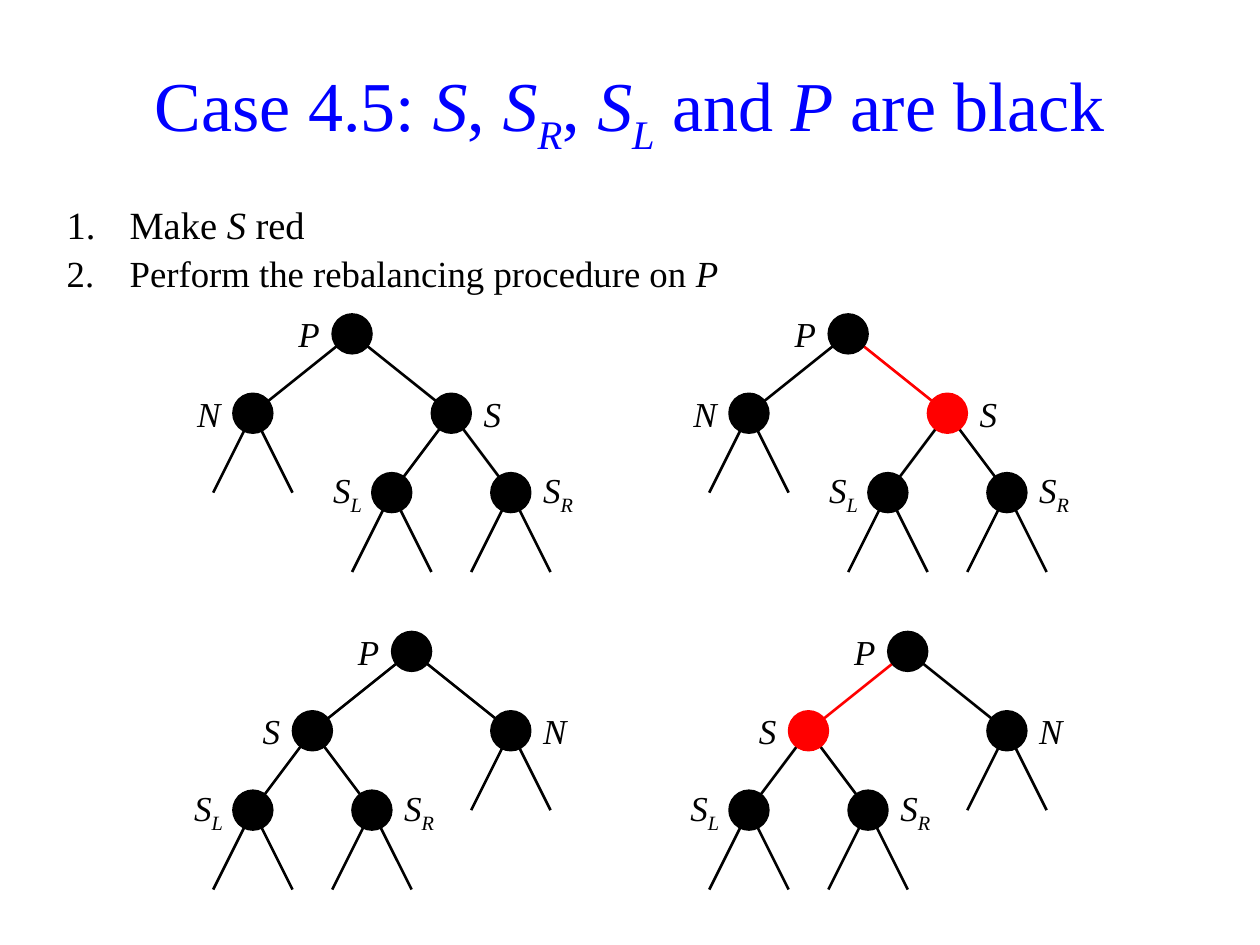
"""Build the slide on rebalancing case 4.5 of a red-black tree."""
import pptx
import pptx.dml.color
import pptx.enum.shapes
import pptx.enum.text
import pptx.util
from lxml import etree

Pt = pptx.util.Pt
RGB = pptx.dml.color.RGBColor.from_string
ALIGN = pptx.enum.text.PP_ALIGN
MIDDLE = pptx.enum.text.MSO_ANCHOR.MIDDLE
THEME = {
    "font": "Times New Roman",
    "title": "0000FF", "black": "000000", "red": "FF0000",
    "title_size": 40, "step_sizes": (22, 21), "label_size": 20,
}


def add_runs(p, parts, size, color):
    for text, style in parts:
        r = p.add_run()
        r.text = text
        r.font.name = THEME["font"]
        r.font.size = Pt(size)
        r.font.color.rgb = RGB(THEME[color])
        r.font.italic = style != "plain"
        if style == "sub":
            r.font._element.set("baseline", "-25000")


def add_edge(s, start, end, color):
    x1, y1, x2, y2 = (Pt(round(v, 2)) for v in (*start, *end))
    line = s.shapes.add_connector(pptx.enum.shapes.MSO_CONNECTOR.STRAIGHT, x1, y1, x2, y2)
    line.line.color.rgb = RGB(THEME[color])
    line.line.width = Pt(1.5)
    etree.SubElement(line._element.spPr, pptx.oxml.ns.qn("a:effectLst"))


prs = pptx.Presentation()
prs.slide_width, prs.slide_height = Pt(720), Pt(540)
s = prs.slides.add_slide(prs.slide_layouts[5])

title = s.shapes.title
title.left, title.top, title.width, title.height = Pt(20), Pt(21), Pt(680), Pt(79)
tf = title.text_frame
tf.vertical_anchor = MIDDLE
p = tf.paragraphs[0]
p.alignment = ALIGN.CENTER
p.line_spacing = 0.9
add_runs(p, [("Case 4.5: ", "plain"), ("S", "italic"), (", ", "plain"),
             ("S", "italic"), ("R", "sub"), (", ", "plain"),
             ("S", "italic"), ("L", "sub"), (" and ", "plain"),
             ("P", "italic"), (" are black", "plain")], THEME["title_size"], "title")

steps = [
    [("Make ", "plain"), ("S", "italic"), (" red", "plain")],
    [("Perform the rebalancing procedure on ", "plain"), ("P", "italic")],
]
tf = s.shapes.add_textbox(Pt(31), Pt(111.6), Pt(657), Pt(57)).text_frame
tf.word_wrap = True
for i, (parts, size) in enumerate(zip(steps, THEME["step_sizes"])):
    p = tf.add_paragraph() if i else tf.paragraphs[0]
    p.space_before = Pt(2)
    pPr = p._p.get_or_add_pPr()
    pPr.set("marL", str(Pt(36)))
    pPr.set("indent", str(-Pt(36)))
    etree.SubElement(pPr, pptx.oxml.ns.qn("a:buAutoNum"), type="arabicPeriod")
    add_runs(p, parts, size, "black")

UNIT = 11.34
ROOT_X, ROOT_Y = 201.2, 190.8
COLUMN_GAP, ROW_GAP, ROW_SHIFT = 25 * UNIT, 16 * UNIT, 3 * UNIT
LEVEL = 4 * UNIT

for row, s_side in enumerate((1, -1)):
    for column, s_color in enumerate(("black", "red")):
        x = ROOT_X + column * COLUMN_GAP + row * ROW_SHIFT
        y = ROOT_Y + row * ROW_GAP
        s_x = x + 5 * UNIT * s_side
        nodes = {
            "P": (x, y),
            "N": (x - 5 * UNIT * s_side, y + LEVEL),
            "S": (s_x, y + LEVEL),
            "SL": (s_x - 3 * UNIT, y + 2 * LEVEL),
            "SR": (s_x + 3 * UNIT, y + 2 * LEVEL),
        }
        label_sides = {"P": -1, "N": -s_side, "S": s_side, "SL": -1, "SR": 1}

        for parent, child in (("P", "N"), ("P", "S"), ("S", "SL"), ("S", "SR")):
            add_edge(s, nodes[parent], nodes[child], s_color if child == "S" else "black")
        for name in ("N", "SL", "SR"):
            cx, cy = nodes[name]
            for side in (-1, 1):
                add_edge(s, (cx, cy), (cx + 2 * UNIT * side, cy + LEVEL), "black")

        for name, (cx, cy) in nodes.items():
            color = RGB(THEME[s_color if name == "S" else "black"])
            sp = s.shapes.add_shape(pptx.enum.shapes.MSO_SHAPE.OVAL, Pt(cx - UNIT),
                                    Pt(cy - UNIT), Pt(2 * UNIT), Pt(2 * UNIT))
            sp.shadow.inherit = False
            sp.fill.solid()
            sp.fill.fore_color.rgb = color
            sp.line.color.rgb = color
            sp.line.width = Pt(1)

            on_left = label_sides[name] < 0
            left = cx - 4 * UNIT if on_left else cx + UNIT
            tf = s.shapes.add_textbox(Pt(left), Pt(cy - 2 * UNIT),
                                      Pt(3 * UNIT), Pt(4 * UNIT)).text_frame
            tf.word_wrap = True
            tf.vertical_anchor = MIDDLE
            if name == "SL":
                tf.margin_right = Pt(5.76)
            p = tf.paragraphs[0]
            p.alignment = ALIGN.RIGHT if on_left else ALIGN.LEFT
            add_runs(p, list(zip(name, ("italic", "sub"))), THEME["label_size"], "black")

prs.save("out.pptx")
